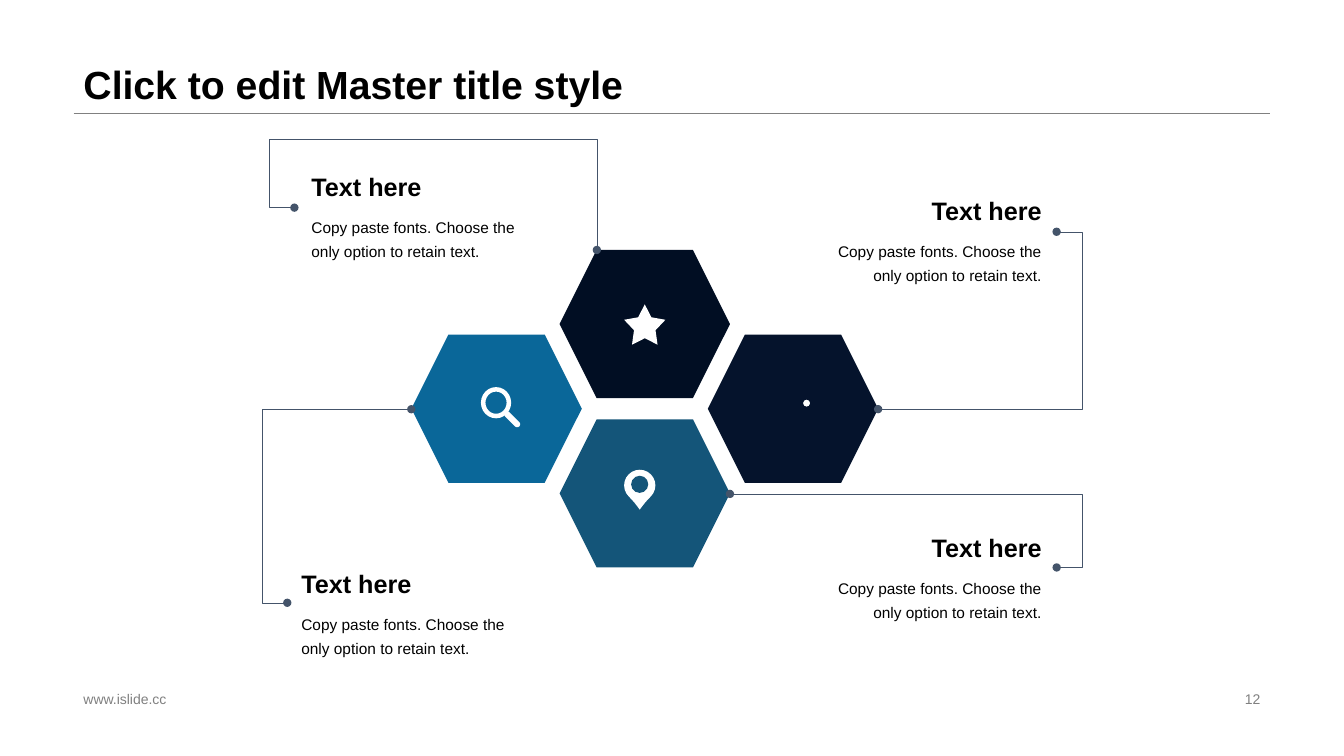
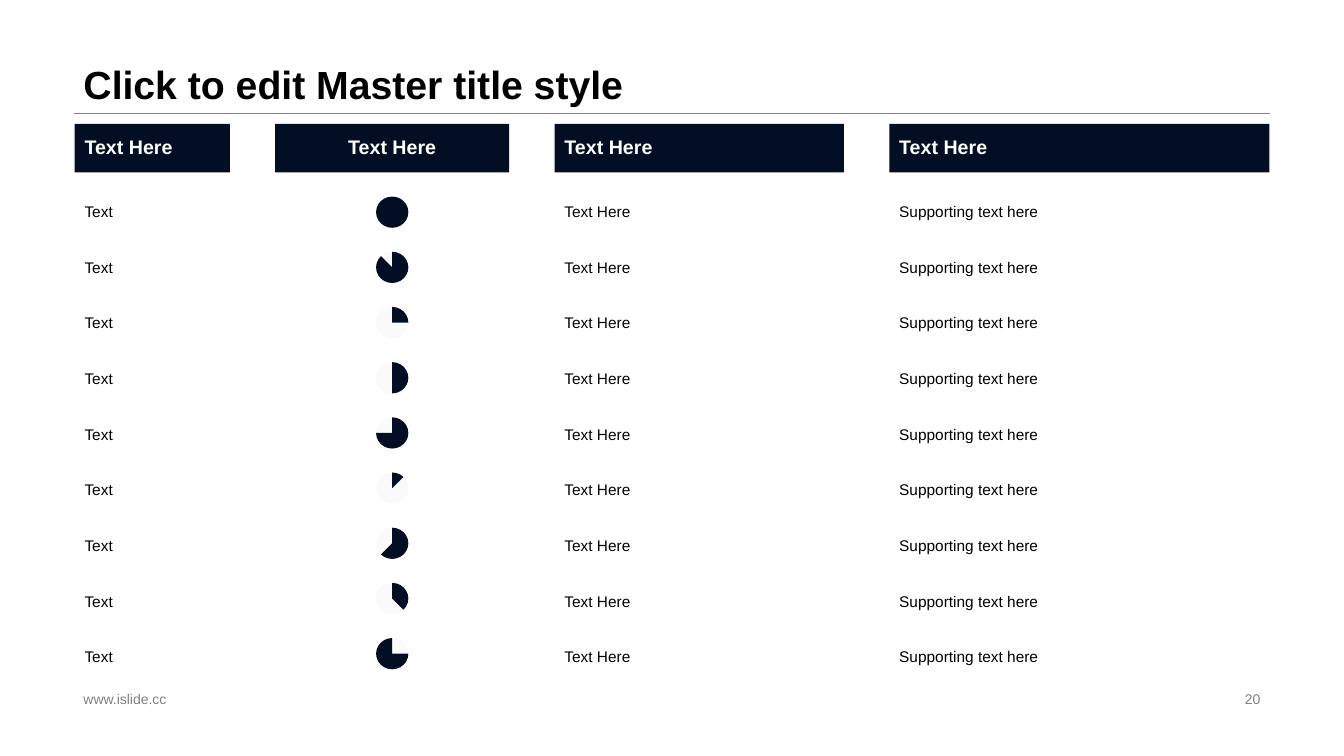
from pptx import Presentation
from pptx.dml.color import RGBColor
from pptx.enum.shapes import MSO_CONNECTOR as CONN, MSO_SHAPE as SHAPE
from pptx.enum.text import MSO_ANCHOR as ANCHOR, PP_ALIGN as ALIGN
from pptx.oxml.ns import qn
from pptx.util import Inches, Pt
from lxml import etree

NAVY, WHITE, BLACK, GREY = "010E23", "FFFFFF", "000000", "808080"
SLATE, PALE = "44546A", "FAFAFA"
BLUE, MIDNIGHT, TEAL = "0A6799", "05132C", "145579"
LEFT, WIDTH, RULE_Y = 0.73, 11.87, 1.12

TITLE = "Click to edit Master title style"
SITE = "www.islide.cc"

HEX_SIZE = (1.69, 1.47)
HEXAGONS = [(4.08, 3.32, BLUE), (7.02, 3.32, MIDNIGHT),
            (5.55, 4.16, TEAL), (5.55, 2.48, NAVY)]
# start, end, x of the first turn, y of the second turn if there is one
LEADERS = [((2.92, 2.06), (5.92, 2.48), 2.67, 1.38),
           ((8.71, 4.06), (10.48, 2.3), 10.73, None),
           ((7.24, 4.9), (10.48, 5.63), 10.73, None),
           ((4.08, 4.06), (2.85, 5.98), 2.6, None)]
CALLOUT_HEAD = "Text here"
CALLOUT_BODY = "Copy paste fonts. Choose the only option to retain text."
CALLOUTS = [(2.99, 1.63, ALIGN.LEFT), (2.89, 5.57, ALIGN.LEFT),
            (8.12, 1.87, ALIGN.RIGHT), (8.12, 5.21, ALIGN.RIGHT)]
LINK_CENTRE = (7.93, 4.055)
LINK_HOOK = [(7.96, 4.04), (7.92, 4.01), (7.88, 4.03), (7.79, 4.11), (7.78, 4.16),
             (7.8, 4.2), (7.85, 4.22), (7.89, 4.21), (7.93, 4.17)]

# width, heading alignment, text of each row (None: the pie column)
COLUMNS = [(1.54, ALIGN.LEFT, "Text"), (2.32, ALIGN.CENTER, None),
           (2.87, ALIGN.LEFT, "Text Here"), (3.77, ALIGN.LEFT, "Supporting text here")]
COLUMN_HEAD = "Text Here"
COLUMN_GAP = 0.45
# start angle and filled share
PIES = [(270, 1), (270, 0.875), (270, 0.25), (270, 0.5), (270, 0.75),
        (270, 0.125), (270, 0.625), (270, 0.375), (0, 0.75)]


def rgb(color):
    return RGBColor.from_string(color)


def write(sp, text, size, color=BLACK, bold=False, align=ALIGN.LEFT,
          anchor=ANCHOR.MIDDLE, spacing=1.0):
    tf = sp.text_frame
    tf.word_wrap, tf.vertical_anchor = True, anchor
    p = tf.paragraphs[0]
    p.alignment, p.line_spacing = align, spacing
    r = p.add_run()
    r.text = text
    r.font.color.rgb = rgb(color)
    for name, value in {"name": "Arial", "size": Pt(size), "bold": bold}.items():
        setattr(r.font, name, value)


def add_text(s, box, text, size, **style):
    write(s.shapes.add_textbox(*map(Inches, box)), text, size, **style)


def add_shape(s, kind, box, color, adjust=(), rotation=0):
    sp = s.shapes.add_shape(kind, *map(Inches, box))
    sp.shadow.inherit = False
    sp.fill.solid()
    sp.fill.fore_color.rgb = rgb(color)
    sp.line.fill.background()
    sp.rotation = rotation
    for i, value in enumerate(adjust):
        sp.adjustments[i] = value
    return sp


def add_line(s, kind, start, end, color):
    cx = s.shapes.add_connector(kind, *map(Inches, start + end))
    cx.line.color.rgb = rgb(color)
    cx.line.width = Pt(0.25)
    etree.SubElement(cx._element.spPr, qn("a:effectLst"))
    return cx


def add_leader(s, start, end, turn_x, turn_y):
    """Draw an elbow line with a dot at both ends and turns at the given places."""
    cx = add_line(s, CONN.ELBOW, start, end, SLATE)
    turns = [(turn_x - start[0]) / (end[0] - start[0])]
    geom = cx._element.spPr.find(qn("a:prstGeom"))
    if turn_y is not None:
        turns.append((turn_y - start[1]) / (end[1] - start[1]))
        geom.set("prst", "bentConnector4")
    guides = geom.find(qn("a:avLst"))
    if guides is None:
        guides = etree.SubElement(geom, qn("a:avLst"))
    for i, turn in enumerate(turns, 1):
        etree.SubElement(guides, qn("a:gd"), name=f"adj{i}",
                         fmla=f"val {round(turn * 100000)}")
    for tag in ("a:headEnd", "a:tailEnd"):
        etree.SubElement(cx.line._get_or_add_ln(), qn(tag), type="oval")


def add_stroke(s, points, width):
    """Draw an open white line with round ends."""
    fb = s.shapes.build_freeform(*points[0], scale=Inches(1))
    fb.add_line_segments(points[1:], close=False)
    sp = fb.convert_to_shape()
    sp.shadow.inherit = False
    sp.fill.background()
    sp.line.color.rgb = rgb(WHITE)
    sp.line.width = Pt(width)
    sp.line._get_or_add_ln().set("cap", "rnd")


def add_slide(prs, number):
    s = prs.slides.add_slide(prs.slide_layouts[6])
    add_line(s, CONN.STRAIGHT, (LEFT, RULE_Y), (LEFT + WIDTH, RULE_Y), GREY)
    add_text(s, (LEFT, 0, WIDTH, RULE_Y), TITLE, 28, bold=True,
             anchor=ANCHOR.BOTTOM, spacing=0.9)
    add_text(s, (LEFT, 6.82, 4.53, 0.23), SITE, 10, color=GREY)
    add_text(s, (9.42, 6.82, 3.18, 0.23), str(number), 10, color=GREY, align=ALIGN.RIGHT)
    return s


def add_icons(s):
    # magnifier
    add_shape(s, SHAPE.DONUT, (4.77, 3.84, 0.3, 0.31), WHITE, [0.15])
    add_shape(s, SHAPE.ROUNDED_RECTANGLE, (4.98, 4.13, 0.2, 0.06), WHITE, [0.5], 45)
    # chain link: the second hook is the first one turned half round
    cx, cy = LINK_CENTRE
    for hook in (LINK_HOOK, [(2 * cx - x, 2 * cy - y) for x, y in LINK_HOOK]):
        add_stroke(s, hook, 4.7)
    # map pin
    add_shape(s, SHAPE.TEAR, (6.19, 4.66, 0.31, 0.31), WHITE, [1.1], 135)
    add_shape(s, SHAPE.OVAL, (6.26, 4.72, 0.17, 0.17), TEAL)
    add_shape(s, SHAPE.STAR_5_POINT, (6.19, 3.02, 0.41, 0.4), WHITE, [0.26])


def build_hexagons(prs):
    s = add_slide(prs, 12)
    for x, y, color in HEXAGONS:
        add_shape(s, SHAPE.HEXAGON, (x, y, *HEX_SIZE), color, [0.25])
    add_icons(s)
    for leader in LEADERS:
        add_leader(s, *leader)
    for x, y, align in CALLOUTS:
        add_text(s, (x, y, 2.31, 0.42), CALLOUT_HEAD, 18, bold=True,
                 align=align, anchor=ANCHOR.BOTTOM)
        add_text(s, (x, y + 0.43, 2.31, 0.61), CALLOUT_BODY, 11,
                 align=align, anchor=ANCHOR.TOP, spacing=1.3)


def add_pie(s, x, y, start, share):
    box = (x, y, 0.32, 0.31)
    if share == 1:
        add_shape(s, SHAPE.OVAL, box, NAVY)
        return
    add_shape(s, SHAPE.OVAL, box, PALE)
    end = (start + 360 * share) % 360
    # angles count in 60000ths of a degree, adjustments in 100000ths
    add_shape(s, SHAPE.PIE, box, NAVY, [start * 0.6, end * 0.6])


def build_columns(prs):
    s = add_slide(prs, 20)
    x = 0.74
    for width, align, text in COLUMNS:
        head = add_shape(s, SHAPE.RECTANGLE, (x, 1.23, width, 0.48), NAVY)
        write(head, COLUMN_HEAD, 14, color=WHITE, bold=True, align=align, spacing=0.9)
        for row, pie in enumerate(PIES):
            if text is None:
                add_pie(s, x + (width - 0.32) / 2, 1.95 + 0.5475 * row, *pie)
            else:
                add_text(s, (x, 1.94 + 0.5525 * row, width, 0.31), text, 11)
        x += width + COLUMN_GAP


def main():
    prs = Presentation()
    prs.slide_width, prs.slide_height = Inches(13.33), Inches(7.5)
    build_hexagons(prs)
    build_columns(prs)
    prs.save("out.pptx")


if __name__ == "__main__":
    main()
